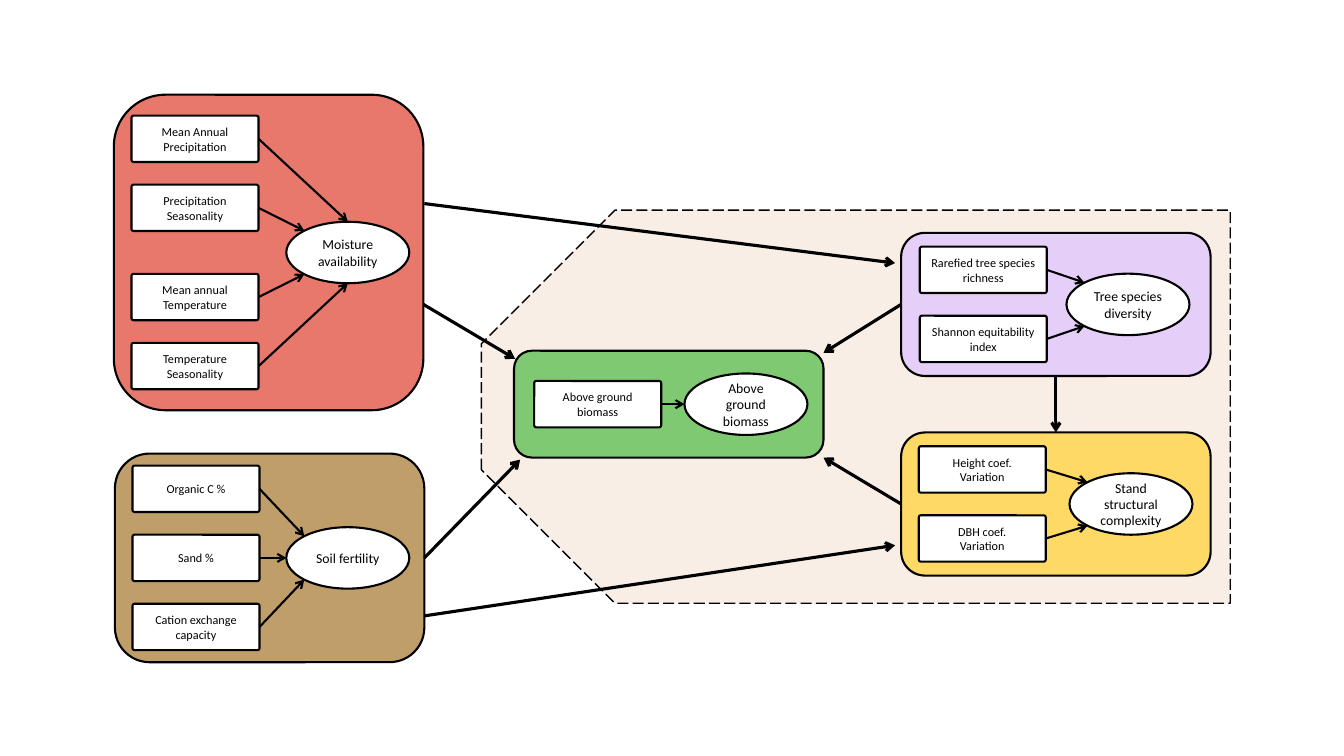
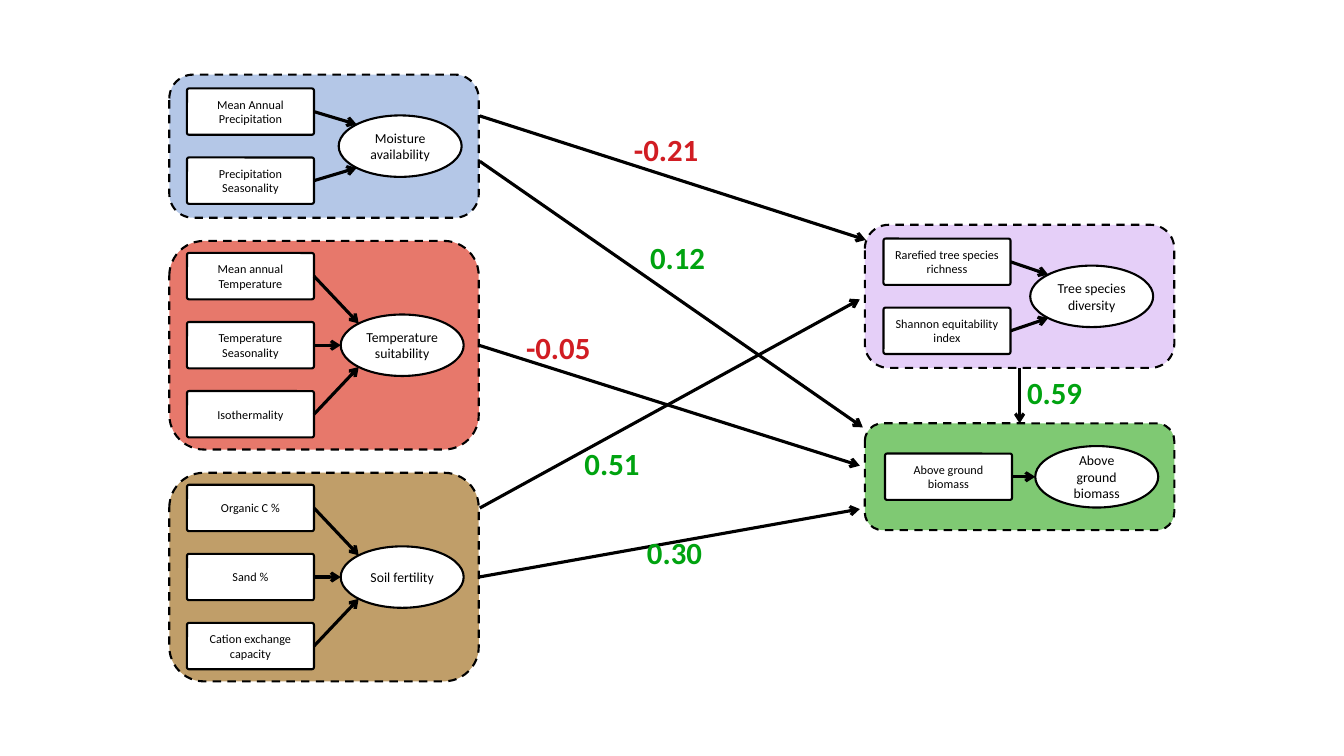
from dataclasses import dataclass, replace
from math import cos, radians, sin
from typing import NamedTuple

from lxml.etree import SubElement
from pptx import Presentation
from pptx.dml.color import RGBColor
from pptx.enum.dml import MSO_LINE_DASH_STYLE as Dash
from pptx.enum.shapes import MSO_CONNECTOR, MSO_SHAPE
from pptx.enum.text import MSO_ANCHOR, MSO_AUTO_SIZE, PP_ALIGN
from pptx.oxml.ns import qn
from pptx.util import Inches, Pt

CELL = Inches(0.1)
COLUMNS, ROWS = 133.33, 75

BLACK = RGBColor(0x00, 0x00, 0x00)
WHITE = RGBColor(0xFF, 0xFF, 0xFF)
RED = RGBColor(0xE7, 0x78, 0x6B)
BLUE = RGBColor(0xB4, 0xC7, 0xE7)
BROWN = RGBColor(0xA4, 0x73, 0x26)
GREEN = RGBColor(0x7F, 0xC9, 0x73)
PURPLE = RGBColor(0xE5, 0xCF, 0xF8)
YELLOW = RGBColor(0xFF, 0xD9, 0x66)
ORANGE = RGBColor(0xC5, 0x5A, 0x11)
POSITIVE = RGBColor(0x00, 0xA3, 0x10)
NEGATIVE = RGBColor(0xD1, 0x1D, 0x23)

FONT = "Calibri"
PANEL_WIDTH = 30.7
CONCEPT_WIDTH, CONCEPT_HEIGHT = 12.2, 6.1
INDICATOR_WIDTH, INDICATOR_HEIGHT, INDICATOR_PITCH = 12.6, 4.6, 6.85
LABEL_WIDTH, LABEL_HEIGHT = 9.2, 4.7
TOP, LEFT, BOTTOM, RIGHT = range(4)
LINK_ANGLES = {1: (180,), 2: (225, 135), 3: (225, 180, 135), 4: (270, 225, 135, 90)}

MOISTURE = "Moisture availability"
TEMPERATURE = "Temperature suitability"
SOIL = "Soil fertility"
DIVERSITY = "Tree species diversity"
COMPLEXITY = "Stand structural complexity"
BIOMASS = "Above ground biomass"
RAINFALL = ("Mean Annual Precipitation", "Precipitation Seasonality")
WARMTH = ("Mean annual Temperature", "Temperature Seasonality")


class Point(NamedTuple):
    x: float
    y: float


class Anchor(NamedTuple):
    concept: str
    side: int


class Path(NamedTuple):
    start: Point | Anchor
    end: Point | Anchor


class Coefficient(NamedTuple):
    x: float
    y: float
    value: str


@dataclass(frozen=True)
class Panel:
    concept: str
    indicators: tuple[str, ...]
    fill: RGBColor
    height: float
    left: float = 0
    top: float = 0
    alpha: int = 100
    indicator_left: float = 1.75
    concept_left: float = 17
    middle_gap: float = 0

    def at(self, left: float, top: float) -> "Panel":
        return replace(self, left=left, top=top)

    def indicator_top(self, index: int) -> float:
        count = len(self.indicators)
        stack = (count - 1) * INDICATOR_PITCH + INDICATOR_HEIGHT + self.middle_gap
        extra = self.middle_gap if index >= count / 2 else 0
        return self.top + (self.height - stack) / 2 + index * INDICATOR_PITCH + extra


@dataclass(frozen=True)
class Diagram:
    panels: tuple[Panel, ...]
    paths: tuple[Path, ...]
    coefficients: tuple[Coefficient, ...] = ()
    dash: Dash | None = None
    link_weight: float = 1.5
    has_region: bool = False


SOIL_PANEL = Panel(SOIL, ("Organic C %", "Sand %", "Cation exchange capacity"), BROWN, 20.7, alpha=69)
DIVERSITY_PANEL = Panel(
    DIVERSITY, ("Rarefied tree species richness", "Shannon equitability index"), PURPLE, 14.2,
    indicator_left=1.85, concept_left=16.4)
BIOMASS_PANEL = Panel(BIOMASS, ("Above ground\nbiomass",), GREEN, 10.6, indicator_left=2, concept_left=16.9)

HYPOTHESIS = Diagram(
    panels=(
        Panel(MOISTURE, RAINFALL + WARMTH, RED, 31.3, 11.3, 9.4, concept_left=17.1, middle_gap=2),
        SOIL_PANEL.at(11.4, 45),
        DIVERSITY_PANEL.at(89.4, 23.1),
        Panel(COMPLEXITY, ("Height coef.\nVariation", "DBH coef.\nVariation"), YELLOW, 14.2, 89.4, 42.9,
              concept_left=16.7),
        BIOMASS_PANEL.at(51, 34.8),
    ),
    paths=(
        Path(Anchor(DIVERSITY, BOTTOM), Anchor(COMPLEXITY, TOP)),
        Path(Anchor(DIVERSITY, LEFT), Point(81.7, 35)),
        Path(Anchor(COMPLEXITY, LEFT), Point(81.7, 45.4)),
        Path(Point(42, 30.2), Point(51.1, 35.6)),
        Path(Anchor(SOIL, RIGHT), Point(51.6, 45.6)),
        Path(Point(42.1, 20.2), Point(88.8, 26.1)),
        Path(Point(42.1, 61.1), Point(88.8, 54.1)),
    ),
    has_region=True,
)

RESULTS = Diagram(
    panels=(
        DIVERSITY_PANEL.at(85.8, 22.3),
        BIOMASS_PANEL.at(85.8, 42),
        Panel(MOISTURE, RAINFALL, BLUE, 14.2, 16.8, 7.4, concept_left=16.8),
        Panel(TEMPERATURE, WARMTH + ("Isothermality",), RED, 20.7, 16.8, 23.9),
        SOIL_PANEL.at(16.8, 46.9),
    ),
    paths=(
        Path(Anchor(SOIL, RIGHT), Point(85.3, 50.5)),
        Path(Anchor(TEMPERATURE, RIGHT), Point(85.3, 46.2)),
        Path(Point(47.6, 50.4), Point(85.3, 29.7)),
        Path(Point(47.6, 11.5), Point(85.9, 23.8)),
        Path(Point(47.6, 16), Point(85.6, 42.4)),
        Path(Anchor(DIVERSITY, BOTTOM), Anchor(BIOMASS, TOP)),
    ),
    coefficients=(
        Coefficient(61.9, 12.5, "-0.21"),
        Coefficient(63.5, 23.2, "0.12"),
        Coefficient(51.2, 32.1, "-0.05"),
        Coefficient(57, 43.6, "0.51"),
        Coefficient(63.2, 52.5, "0.30"),
        Coefficient(100.9, 36.6, "0.59"),
    ),
    dash=Dash.DASH,
    link_weight=2.25,
)


def cells(*counts: float) -> list[int]:
    return [round(count * CELL) for count in counts]


def write(shape, text: str, *, size: float, color: RGBColor = BLACK, bold: bool = False,
          align: PP_ALIGN = PP_ALIGN.CENTER) -> None:
    frame = shape.text_frame
    frame.word_wrap = True
    frame.text = text
    for paragraph in frame.paragraphs:
        paragraph.alignment = align
        for run in paragraph.runs:
            run.font.name, run.font.size, run.font.bold = FONT, Pt(size), bold
            run.font.color.rgb = color


def draw_shape(shapes, kind: MSO_SHAPE, box: tuple[float, ...], fill: RGBColor, *, alpha: int = 100,
               weight: float = 1.5, dash: Dash | None = None):
    shape = shapes.add_shape(kind, *cells(*box))
    shape.shadow.inherit = False
    shape.fill.solid()
    shape.fill.fore_color.rgb = fill
    if alpha < 100:
        tint = shape.element.spPr.find(qn("a:solidFill")).find(qn("a:srgbClr"))
        SubElement(tint, qn("a:alpha")).set("val", str(alpha * 1000))
    shape.line.color.rgb = BLACK
    shape.line.width = Pt(weight)
    if dash is not None:
        shape.line.dash_style = dash
    return shape


def draw_text_shape(shapes, kind: MSO_SHAPE, box: tuple[float, ...], text: str, size: float, inset: float):
    shape = draw_shape(shapes, kind, box, WHITE)
    frame = shape.text_frame
    frame.margin_left = frame.margin_right = Inches(0.05)
    frame.margin_top = frame.margin_bottom = Inches(inset)
    frame.vertical_anchor = MSO_ANCHOR.MIDDLE
    write(shape, text, size=size)
    return shape


def draw_arrow(shapes, start: Point, end: Point, weight: float):
    arrow = shapes.add_connector(MSO_CONNECTOR.STRAIGHT, *cells(*start, *end))
    arrow.line.color.rgb = BLACK
    arrow.line.width = Pt(weight)
    properties = arrow.element.spPr
    SubElement(properties.find(qn("a:ln")), qn("a:tailEnd")).set("type", "arrow")
    SubElement(properties, qn("a:effectLst"))
    return arrow


def draw_panel(slide, panel: Panel, diagram: Diagram):
    shapes = slide.shapes.add_group_shape().shapes
    frame = draw_shape(shapes, MSO_SHAPE.ROUNDED_RECTANGLE, (panel.left, panel.top, PANEL_WIDTH, panel.height),
                       panel.fill, alpha=panel.alpha, dash=diagram.dash)
    concept_x = panel.left + panel.concept_left
    concept_y = panel.top + (panel.height - CONCEPT_HEIGHT) / 2
    draw_text_shape(shapes, MSO_SHAPE.OVAL, (concept_x, concept_y, CONCEPT_WIDTH, CONCEPT_HEIGHT),
                    panel.concept, 9.8, 0.03)
    indicator_x = panel.left + panel.indicator_left
    angles = LINK_ANGLES[len(panel.indicators)]
    for index, (text, angle) in enumerate(zip(panel.indicators, angles)):
        indicator_y = panel.indicator_top(index)
        indicator = draw_text_shape(shapes, MSO_SHAPE.ROUNDED_RECTANGLE,
                                    (indicator_x, indicator_y, INDICATOR_WIDTH, INDICATOR_HEIGHT), text, 8.7, 0.02)
        indicator.adjustments[0] = 0.045
        start = Point(indicator_x + INDICATOR_WIDTH, indicator_y + INDICATOR_HEIGHT / 2)
        end = Point(concept_x + CONCEPT_WIDTH / 2 * (1 + cos(radians(angle))),
                    concept_y + CONCEPT_HEIGHT / 2 * (1 + sin(radians(angle))))
        draw_arrow(shapes, start, end, diagram.link_weight).begin_connect(indicator, RIGHT)
    return frame


def draw_path(slide, path: Path, frames: dict) -> None:
    start, end = (Point(0, 0) if isinstance(tip, Anchor) else tip for tip in path)
    arrow = draw_arrow(slide.shapes, start, end, 2.25)
    if isinstance(path.start, Anchor):
        arrow.begin_connect(frames[path.start.concept], path.start.side)
    if isinstance(path.end, Anchor):
        arrow.end_connect(frames[path.end.concept], path.end.side)


def draw_region(slide) -> None:
    region = draw_shape(slide.shapes, MSO_SHAPE.SNIP_2_SAME_RECTANGLE, (65.4, 3.2, 39, 74.3), ORANGE,
                        alpha=10, weight=1, dash=Dash.LONG_DASH)
    region.adjustments[0], region.adjustments[1] = 0.34, 0
    region.rotation = 270


def draw_coefficient(slide, coefficient: Coefficient) -> None:
    label = slide.shapes.add_textbox(*cells(coefficient.x, coefficient.y, LABEL_WIDTH, LABEL_HEIGHT))
    color = NEGATIVE if coefficient.value.startswith("-") else POSITIVE
    write(label, coefficient.value, size=22, color=color, bold=True, align=PP_ALIGN.LEFT)
    label.text_frame.auto_size = MSO_AUTO_SIZE.SHAPE_TO_FIT_TEXT


def draw_diagram(slide, diagram: Diagram) -> None:
    if diagram.has_region:
        draw_region(slide)
    frames = {panel.concept: draw_panel(slide, panel, diagram) for panel in diagram.panels}
    for path in diagram.paths:
        draw_path(slide, path, frames)
    for coefficient in diagram.coefficients:
        draw_coefficient(slide, coefficient)


def main() -> None:
    deck = Presentation()
    deck.slide_width, deck.slide_height = cells(COLUMNS, ROWS)
    blank = deck.slide_layouts[6]
    for diagram in (HYPOTHESIS, RESULTS):
        draw_diagram(deck.slides.add_slide(blank), diagram)
    deck.save("out.pptx")


if __name__ == "__main__":
    main()
